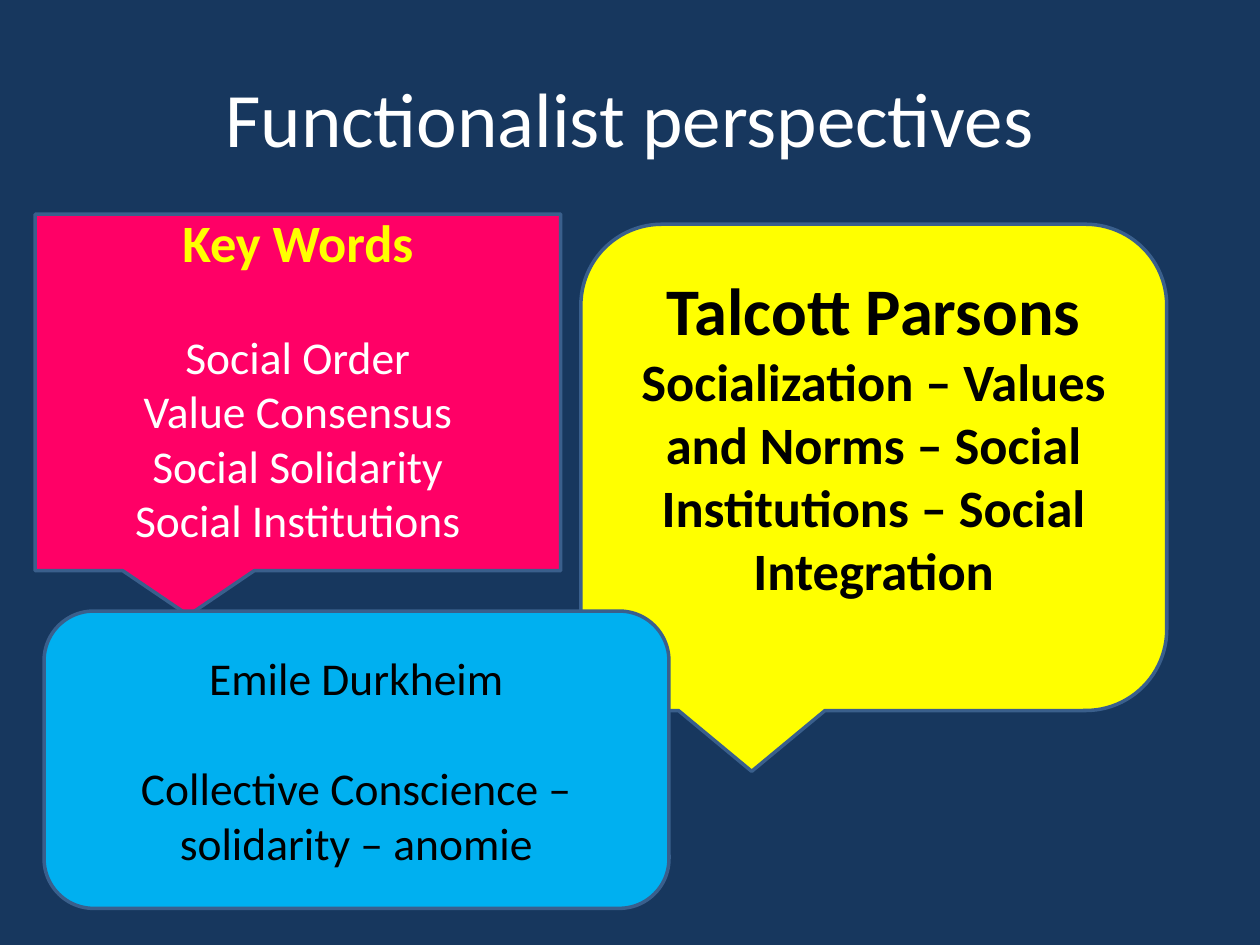
import pptx
import pptx.util
import pptx.dml.color
import pptx.enum.shapes
import pptx.enum.text

Inches, Pt = pptx.util.Inches, pptx.util.Pt
SHAPES = pptx.enum.shapes.MSO_SHAPE

# Content: each paragraph is (text, size, colour, bold, space before)
FONT = "Calibri"
NAVY, EDGE = "17375E", "3A5F8C"
PINK, YELLOW, BLUE = "FF0066", "FFFF00", "00B0F0"
WHITE, BLACK = "FFFFFF", "000000"
LINE_GAP = 31.7  # one line of 26 pt text

title = [("Functionalist perspectives", 44, WHITE, False, 0)]
key_words = [
    ("Key Words", 30, YELLOW, True, 0),
    ("Social Order", 26, WHITE, False, LINE_GAP),
    ("Value Consensus", 26, WHITE, False, 0),
    ("Social Solidarity", 26, WHITE, False, 0),
    ("Social Institutions", 26, WHITE, False, 0),
]
parsons = [
    ("Talcott Parsons", 38, BLACK, True, 0),
    ("Socialization – Values and Norms – Social Institutions – Social Integration",
     30, BLACK, True, 0),
]
durkheim = [
    ("Emile Durkheim", 26, BLACK, False, 0),
    ("Collective Conscience – solidarity – anomie", 26, BLACK, False, LINE_GAP),
]

# Bubbles, back to front: shape, fill, box, top and bottom inset, paragraphs
bubbles = [
    (SHAPES.RECTANGULAR_CALLOUT, PINK, (0.28, 1.7, 4.17, 2.83), (0, 0.22), key_words),
    (SHAPES.ROUNDED_RECTANGULAR_CALLOUT, YELLOW, (4.61, 1.78, 4.65, 3.86),
     (0.05, 0.56), parsons),
    (SHAPES.ROUNDED_RECTANGLE, BLUE, (0.35, 4.85, 4.96, 2.36), (0.05, 0.05), durkheim),
]


def rgb(colour):
    return pptx.dml.color.RGBColor.from_string(colour)


def write(frame, paragraphs, insets=(0.05, 0.05)):
    frame.word_wrap = True
    frame.vertical_anchor = pptx.enum.text.MSO_ANCHOR.MIDDLE
    frame.margin_top, frame.margin_bottom = map(Inches, insets)
    for i, (text, size, colour, bold, before) in enumerate(paragraphs):
        paragraph = frame.add_paragraph() if i else frame.paragraphs[0]
        paragraph.text = text
        paragraph.alignment = pptx.enum.text.PP_ALIGN.CENTER
        if before:
            paragraph.space_before = Pt(before)
        font = paragraph.font
        font.name, font.size, font.bold = FONT, Pt(size), bold
        font.color.rgb = rgb(colour)


# Slide and background
deck = pptx.Presentation()
deck.slide_width, deck.slide_height = Inches(10), Inches(7.5)
slide = deck.slides.add_slide(deck.slide_layouts[6])
slide.background.fill.solid()
slide.background.fill.fore_color.rgb = rgb(NAVY)

# Title
heading = slide.shapes.add_textbox(*map(Inches, (0.5, 0.3, 9, 1.25)))
write(heading.text_frame, title)

# Speech bubbles
for kind, fill, box, insets, paragraphs in bubbles:
    bubble = slide.shapes.add_shape(kind, *map(Inches, box))
    bubble.shadow.inherit = False
    bubble.fill.solid()
    bubble.fill.fore_color.rgb = rgb(fill)
    bubble.line.color.rgb = rgb(EDGE)
    bubble.line.width = Pt(2)
    write(bubble.text_frame, paragraphs, insets)

deck.save("out.pptx")
